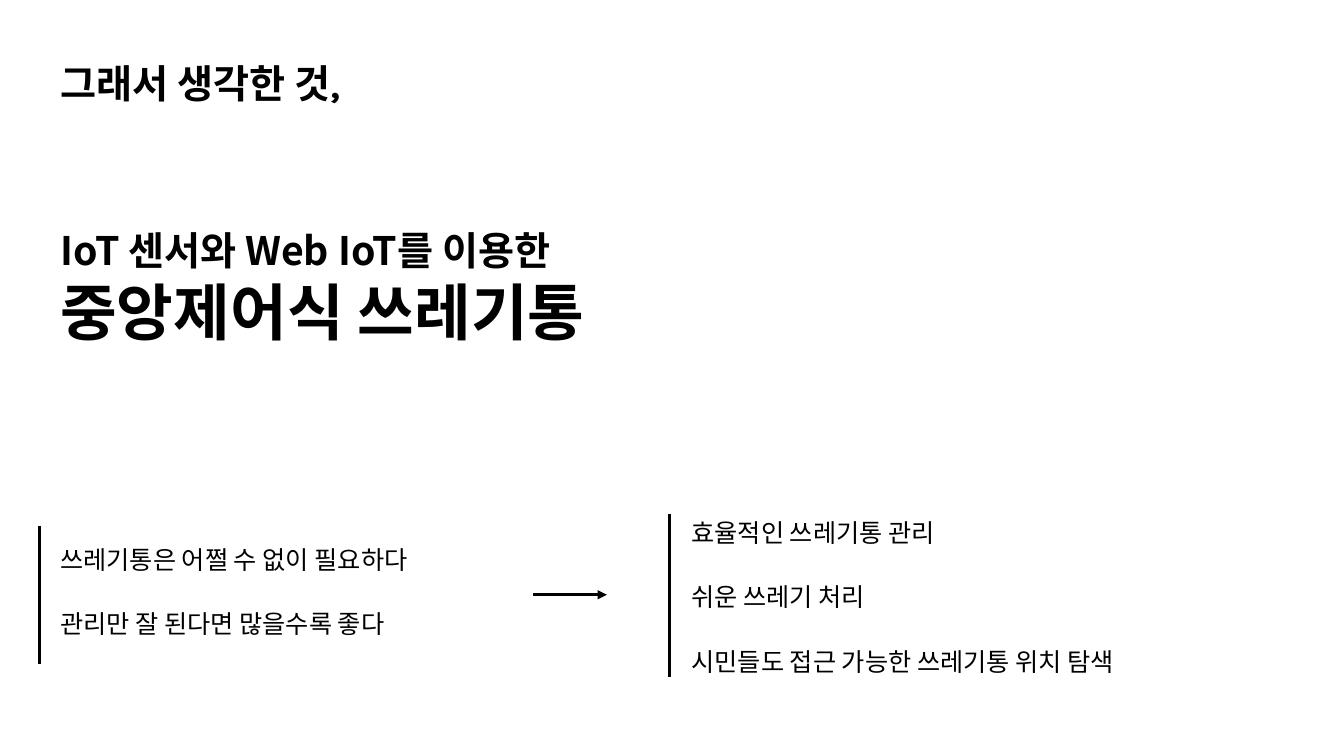
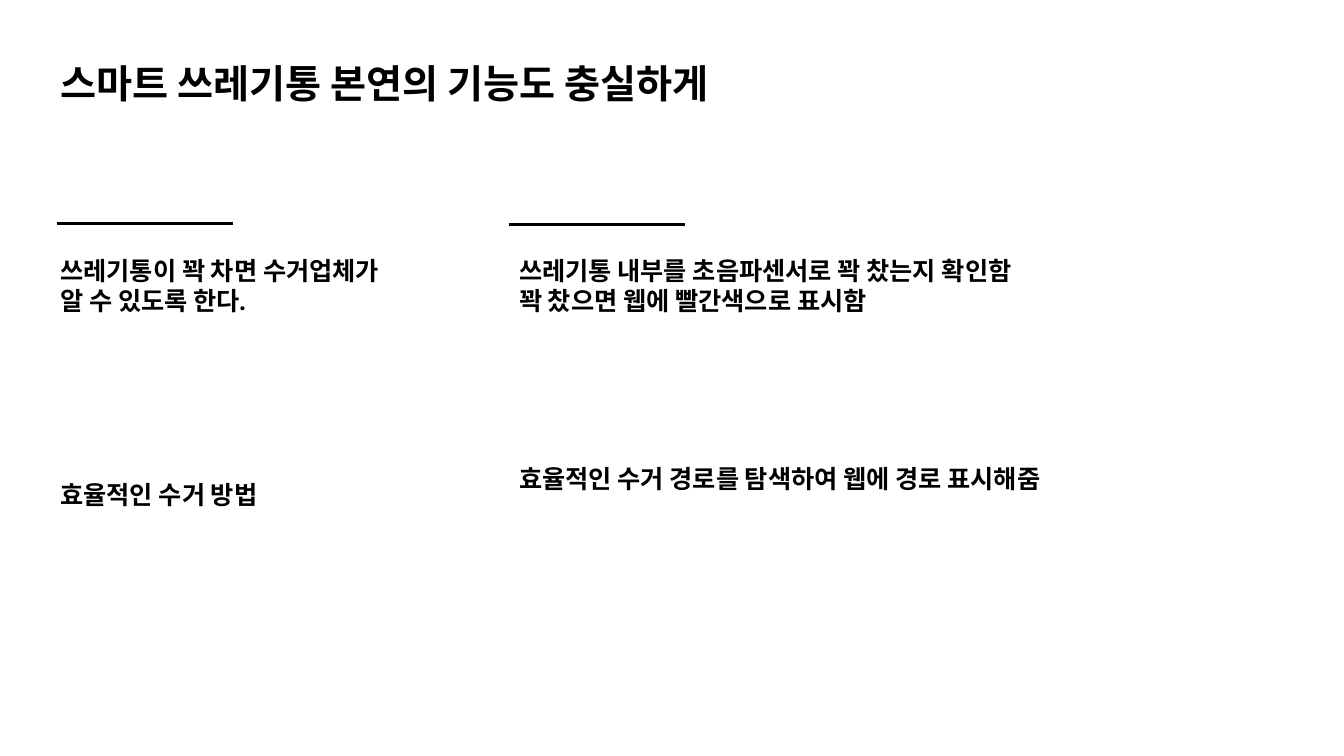
from dataclasses import dataclass

from lxml import etree
from pptx import Presentation
from pptx.dml.color import RGBColor
from pptx.enum.shapes import MSO_CONNECTOR
from pptx.enum.text import MSO_AUTO_SIZE, PP_ALIGN
from pptx.oxml.ns import qn
from pptx.util import Pt

STRAIGHT = MSO_CONNECTOR.STRAIGHT
GROW = MSO_AUTO_SIZE.SHAPE_TO_FIT_TEXT
CENTER = PP_ALIGN.CENTER

EMU_PER_PX = 9144  # 100 px to the inch
SLIDE_WIDTH, SLIDE_HEIGHT = 1333, 750


@dataclass(frozen=True)
class Theme:
    ink: RGBColor = RGBColor(0, 0, 0)
    paper: RGBColor = RGBColor(255, 255, 255)
    heading_font: str = "Karla"
    korean_font: str = "Noto Sans CJK KR"
    body_size: int = 18
    title_size: int = 28
    hero_size: int = 44
    rule_width: float = 2
    arrow_width: float = 2.25


THEME = Theme()

# Shared layout
MARGIN = 50
TITLE_TOP, TITLE_HEIGHT = 54, 57
LINE_HEIGHT = 40
STATEMENT_PITCH = 64


def px(length):
    return length * EMU_PER_PX


def add_page(deck):
    page = deck.slides.add_slide(deck.slide_layouts[6])
    fill = page.background.fill
    fill.solid()
    fill.fore_color.rgb = THEME.paper
    return page


def format_span(span, size, font, bold):
    span.font.size = Pt(size)
    span.font.bold = bold
    span.font.name = font
    span.font.color.rgb = THEME.ink
    east_asian = etree.SubElement(span.font._element, qn("a:ea"))
    east_asian.set("typeface", THEME.korean_font)


def add_text(page, text, left, top, width, height, size=THEME.body_size,
             font=THEME.heading_font, bold=True, wrap=True):
    box = page.shapes.add_textbox(px(left), px(top), px(width), px(height))
    frame = box.text_frame
    frame.word_wrap = wrap
    frame.auto_size = GROW
    frame.text = text
    for para in frame.paragraphs:
        for span in para.runs:
            format_span(span, size, font, bold)
    return box


def add_title(page, text, width, wrap=True):
    add_text(page, text, MARGIN, TITLE_TOP, width, TITLE_HEIGHT,
             size=THEME.title_size, wrap=wrap)


def add_line(page, start, end, width=THEME.rule_width, arrow=False):
    line = page.shapes.add_connector(STRAIGHT, *map(px, start + end))
    line.line.color.rgb = THEME.ink
    line.line.width = Pt(width)
    if arrow:
        tail = etree.SubElement(line.line._get_or_add_ln(), qn("a:tailEnd"))
        tail.set("type", "triangle")
    etree.SubElement(line._element.spPr, qn("a:effectLst"))


def add_statements(page, left, top, statements):
    for row, (text, width) in enumerate(statements):
        add_text(page, text, left, top + row * STATEMENT_PITCH, width,
                 LINE_HEIGHT, font=THEME.korean_font, bold=False)


def build_idea(deck):
    page = add_page(deck)
    add_title(page, "그래서 생각한 것,", 300, wrap=False)

    # Main idea, second line larger
    idea = add_text(page, "IoT 센서와 Web IoT를 이용한\n중앙제어식 쓰레기통",
                    MARGIN, 220, 597, 131, size=THEME.title_size,
                    font=THEME.korean_font, wrap=False)
    headline = idea.text_frame.paragraphs[1]
    headline.alignment = CENTER
    headline.runs[0].font.size = Pt(THEME.hero_size)

    # Reasons lead to goals
    add_line(page, (39, 522), (39, 659))
    add_statements(page, MARGIN, 535, [
        ("쓰레기통은 어쩔 수 없이 필요하다", 447),
        ("관리만 잘 된다면 많을수록 좋다", 447),
    ])
    add_line(page, (529, 590), (602, 590), THEME.arrow_width, arrow=True)
    add_line(page, (664, 510), (664, 672))
    add_statements(page, 676, 508, [
        ("효율적인 쓰레기통 관리", 447),
        ("쉬운 쓰레기 처리", 447),
        ("시민들도 접근 가능한 쓰레기통 위치 탐색", 500),
    ])


def build_functions(deck):
    page = add_page(deck)
    add_title(page, "스마트 쓰레기통 본연의 기능도 충실하게", 955)

    # Needs on the left, solutions on the right
    columns = [
        (MARGIN, 399, (57, 222), 471,
         "쓰레기통이 꽉 차면 수거업체가\n알 수 있도록 한다.",
         "효율적인 수거 방법"),
        (505, 590, (505, 223), 455,
         "쓰레기통 내부를 초음파센서로 꽉 찼는지 확인함\n꽉 찼으면 웹에 빨간색으로 표시함",
         "효율적인 수거 경로를 탐색하여 웹에 경로 표시해줌"),
    ]
    for left, width, (rule_left, rule_top), lower_top, upper, lower in columns:
        add_line(page, (rule_left, rule_top), (rule_left + 174, rule_top))
        add_text(page, upper, left, 248, width, 71)
        add_text(page, lower, left, lower_top, width, LINE_HEIGHT)


def main():
    deck = Presentation()
    deck.slide_width = px(SLIDE_WIDTH)
    deck.slide_height = px(SLIDE_HEIGHT)
    build_idea(deck)
    build_functions(deck)
    deck.save("out.pptx")


if __name__ == "__main__":
    main()
